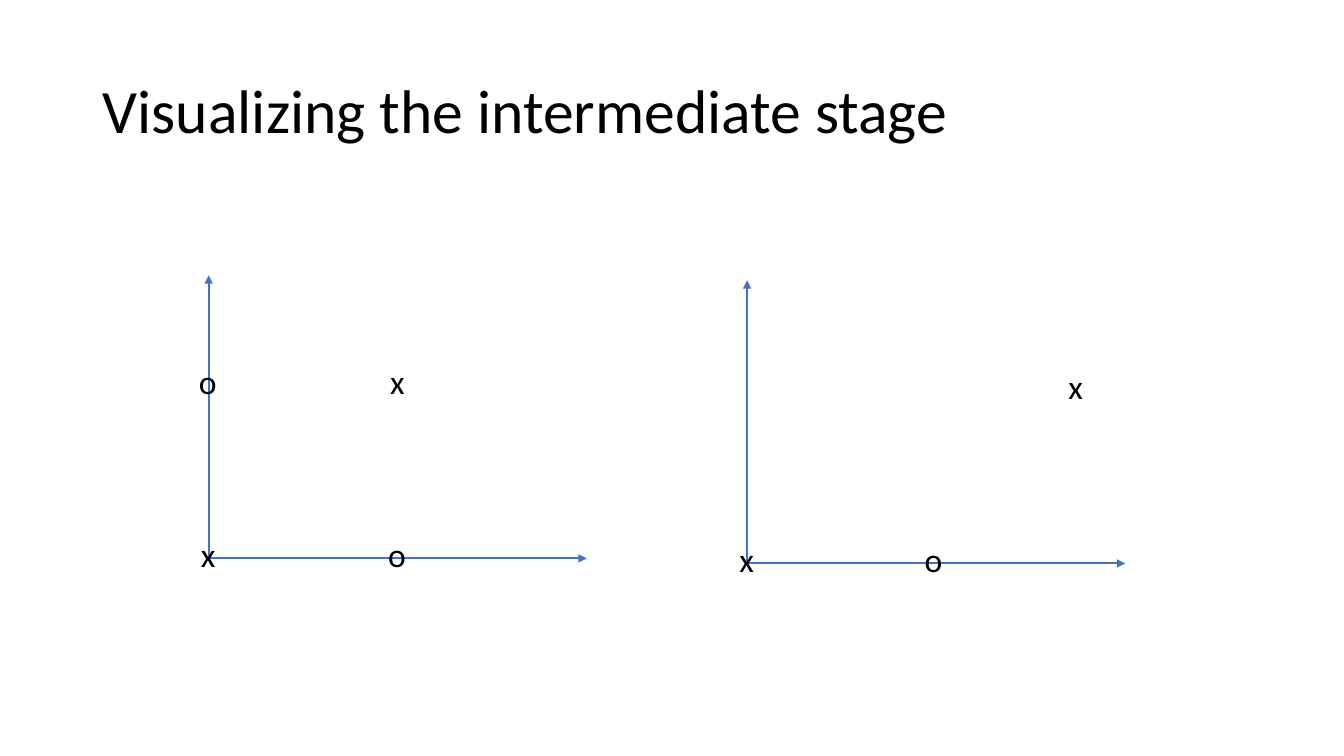
from lxml import etree
from pptx import Presentation
from pptx.dml.color import RGBColor
from pptx.enum.shapes import MSO_CONNECTOR
from pptx.enum.text import MSO_ANCHOR, MSO_AUTO_SIZE, PP_ALIGN
from pptx.oxml.ns import qn
from pptx.util import Inches, Pt

STRAIGHT = MSO_CONNECTOR.STRAIGHT
MIDDLE = MSO_ANCHOR.MIDDLE
FIT = MSO_AUTO_SIZE.SHAPE_TO_FIT_TEXT
LEFT = PP_ALIGN.LEFT
BLACK = RGBColor(0x00, 0x00, 0x00)
BLUE = RGBColor(0x44, 0x72, 0xC4)
WHITE = RGBColor(0xFF, 0xFF, 0xFF)

SLIDE_W, SLIDE_H = 13.33, 7.5
PLOT_W, PLOT_H = 3.75, 2.81
MARK_WIDTH = {"x": 0.35, "o": 0.39}
MARK_H = 0.5
MARK_RISE = 0.04  # lifts the letter's box so that its body sits on the point

# Left, top and marks of each plot; marks are given as shares of the axes.
PLOTS = [
    (2.07, 2.73, [("x", 0, 0), ("x", 0.5, 0.61), ("o", 0.5, 0), ("o", 0, 0.61)]),
    (7.41, 2.78, [("o", 0.495, 0), ("x", 0.87, 0.61), ("x", 0, 0)]),
]


def write(tf, text, size=24, color=BLACK, font="Calibri", spacing=1.0):
    p = tf.paragraphs[0]
    p.alignment = LEFT
    p.line_spacing = spacing
    r = p.add_run()
    r.text = text
    r.font.size = Pt(size)
    r.font.name = font
    r.font.color.rgb = color


def add_title(s, text, x, y, w, h):
    sp = s.shapes.title
    sp.left, sp.top, sp.width, sp.height = map(Inches, (x, y, w, h))
    tf = sp.text_frame
    tf.word_wrap = True
    tf.vertical_anchor = MIDDLE
    write(tf, text, size=44, spacing=0.9)


def add_axis(s, x1, y1, x2, y2):
    axis = s.shapes.add_connector(STRAIGHT, *map(Inches, (x1, y1, x2, y2)))
    axis.line.color.rgb = BLUE
    axis.line.width = Pt(1.5)
    etree.SubElement(axis.line._get_or_add_ln(), qn("a:tailEnd"), type="triangle")
    etree.SubElement(axis._element.spPr, qn("a:effectLst"))


def add_mark(s, letter, cx, cy):
    """Centre a letter on a point of the plot."""
    w = MARK_WIDTH[letter]
    box = (cx - w / 2, cy - MARK_H / 2 - MARK_RISE, w, MARK_H)
    tf = s.shapes.add_textbox(*map(Inches, box)).text_frame
    tf.word_wrap = False
    tf.auto_size = FIT
    write(tf, letter)


def add_plot(s, x, y, w, h, marks):
    base = y + h
    add_axis(s, x, base, x, y)
    add_axis(s, x, base, x + w, base)
    for letter, across, up in marks:
        add_mark(s, letter, x + across * w, base - up * h)


def main():
    prs = Presentation()
    prs.slide_width, prs.slide_height = Inches(SLIDE_W), Inches(SLIDE_H)
    s = prs.slides.add_slide(prs.slide_layouts[5])
    s.background.fill.solid()
    s.background.fill.fore_color.rgb = WHITE
    add_title(s, "Visualizing the intermediate stage", 0.92, 0.4, 11.5, 1.45)
    for x, y, marks in PLOTS:
        add_plot(s, x, y, PLOT_W, PLOT_H, marks)
    prs.save("out.pptx")


if __name__ == "__main__":
    main()
